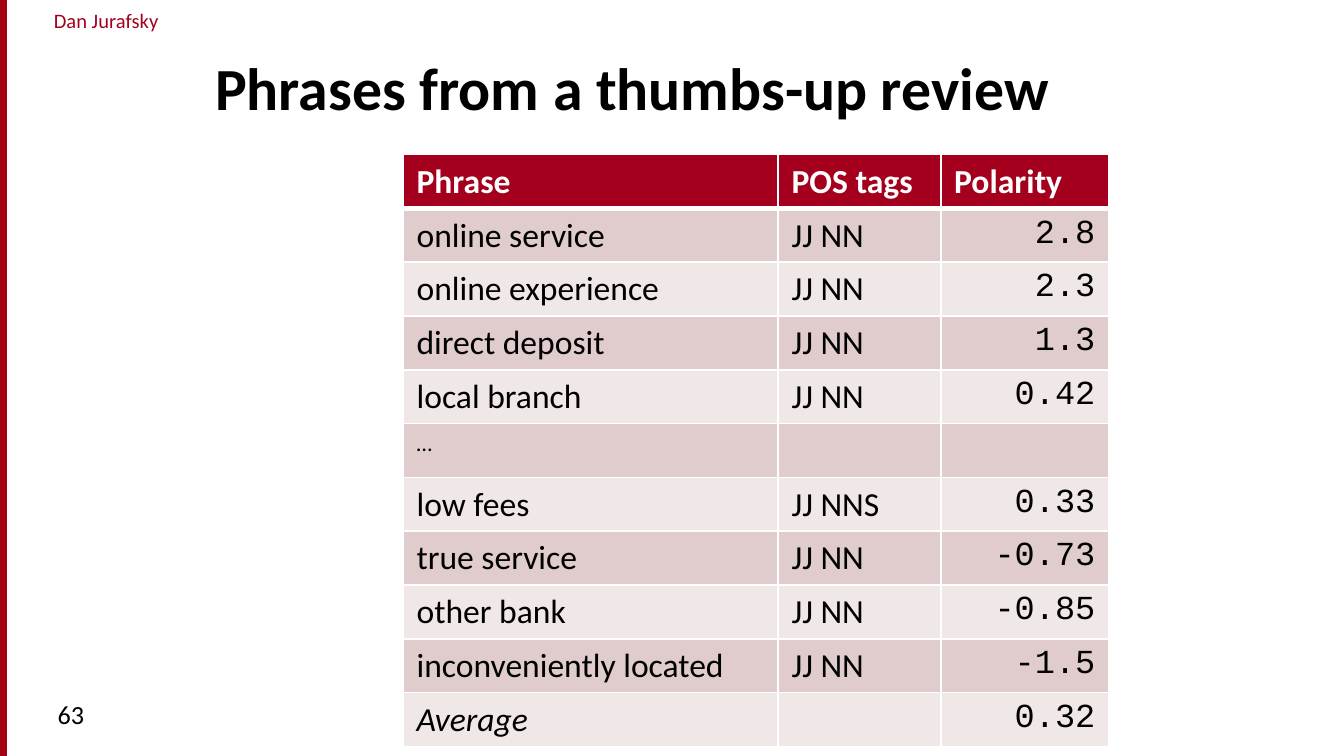
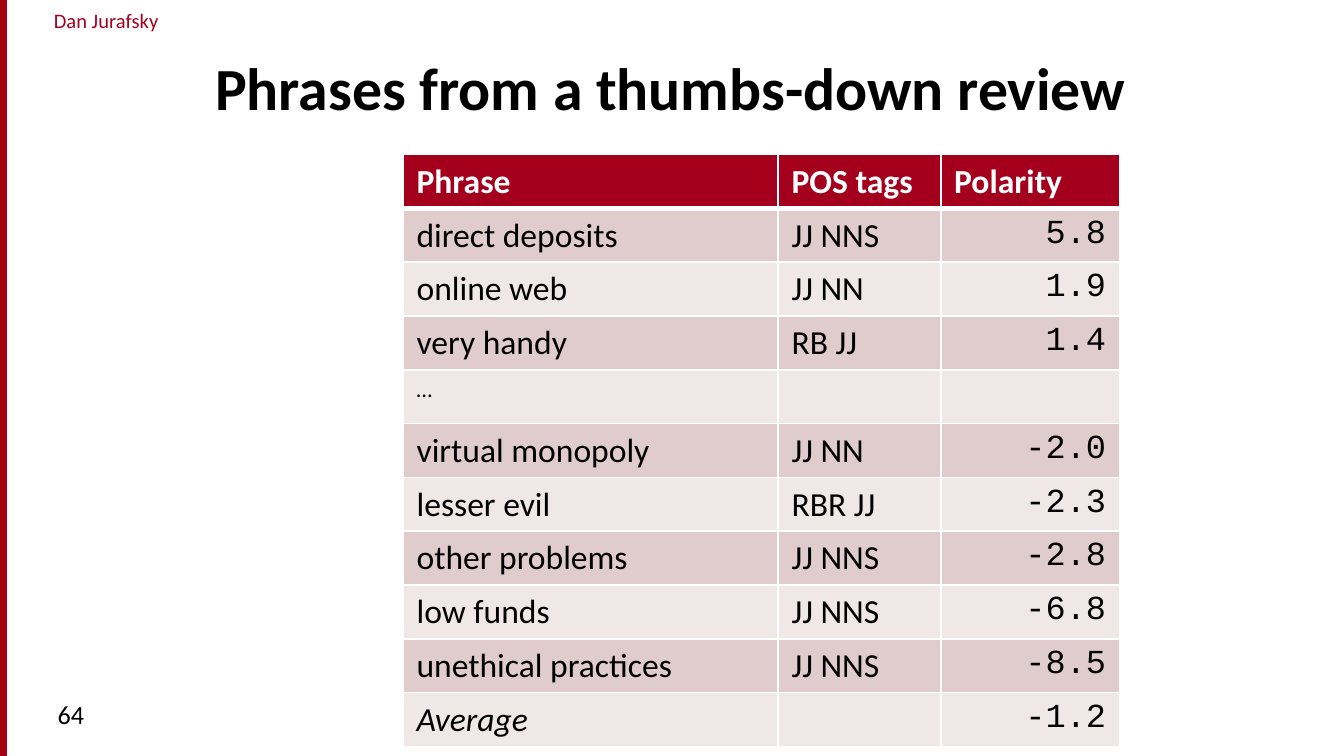
from dataclasses import dataclass

from lxml.etree import SubElement
from pptx import Presentation
from pptx.dml.color import RGBColor
from pptx.enum.shapes import MSO_SHAPE as Shape
from pptx.enum.text import MSO_ANCHOR as Anchor, PP_ALIGN as Align
from pptx.oxml.ns import qn
from pptx.util import Emu, Inches, Pt


@dataclass(frozen=True)
class Theme:
    text: str = "000000"
    paper: str = "FFFFFF"
    accent: str = "A4001D"
    stripe: str = "A40508"
    bands: tuple = ("E0CCCC", "F0E7E7")
    body_font: str = "Calibri"
    number_font: str = "Courier New"
    title_size: float = 32
    table_size: float = 18
    page_size: float = 14
    small_size: float = 12
    author_size: float = 11
    rule: float = 0.96
    header_rule: float = 3


class ReviewDeck:
    COLUMNS = 100
    AUTHOR = "Dan Jurafsky"
    HEADINGS = ("Phrase", "POS tags", "Polarity")
    ROW, SHORT_ROW = 3.9, 2.9

    def __init__(self, theme):
        self.theme = theme
        self.deck = Presentation()
        self.deck.slide_width = Inches(10)
        self.deck.slide_height = Inches(5.625)
        self.rows = self.COLUMNS * self.deck.slide_height / self.deck.slide_width
        self.slide = None

    def grid(self, *units):
        return [Emu(round(unit * self.deck.slide_width / self.COLUMNS)) for unit in units]

    def new_slide(self, title, number):
        self.slide = self.deck.slides.add_slide(self.deck.slide_layouts[5])
        fill = self.slide.background.fill
        fill.solid()
        fill.fore_color.rgb = RGBColor.from_string(self.theme.paper)
        self.text_box(self.AUTHOR, (0.8, 0.1, 14.2, 2.8), Align.CENTER, inset=0,
                      size=self.theme.author_size, color=self.theme.accent)
        self.stripe()
        self.title(title)
        self.text_box(number, (3.3, 51.5, 21.7, 3.7), Align.LEFT, size=self.theme.page_size)

    def put_text(self, frame, text, align=Align.LEFT, size=None, color=None, **formats):
        para = frame.paragraphs[0]
        para.alignment = align
        span = para.add_run()
        span.text = text
        values = {"name": self.theme.body_font, "bold": False, "italic": False,
                  "size": Pt(size or self.theme.table_size), **formats}
        for name, value in values.items():
            setattr(span.font, name, value)
        span.font.color.rgb = RGBColor.from_string(color or self.theme.text)

    def text_box(self, text, area, align, inset=1, **formats):
        frame = self.slide.shapes.add_textbox(*self.grid(*area)).text_frame
        frame.word_wrap = True
        frame.margin_left, frame.margin_right = self.grid(inset, inset)
        self.put_text(frame, text, align, **formats)

    def stripe(self):
        box = self.slide.shapes.add_shape(Shape.RECTANGLE, *self.grid(0, 0, 0.45, self.rows))
        box.shadow.inherit = False
        box.fill.solid()
        box.fill.fore_color.rgb = RGBColor.from_string(self.theme.stripe)
        box.line.color.rgb = RGBColor.from_string(self.theme.accent)
        box.line.width = Pt(0.75)

    def title(self, text):
        box = self.slide.shapes.title
        box.left, box.top, box.width, box.height = self.grid(15, 1.5, 81.7, 8.1)
        box.text_frame.vertical_anchor = Anchor.BOTTOM
        box.text_frame.word_wrap = True
        self.put_text(box.text_frame, text, size=self.theme.title_size, bold=True)

    def borders(self, cell, top, bottom):
        properties = cell._tc.get_or_add_tcPr()
        sides = {"a:lnL": self.theme.rule, "a:lnR": self.theme.rule,
                 "a:lnT": top, "a:lnB": bottom}
        for place, (tag, width) in enumerate(sides.items()):
            line = SubElement(properties, qn(tag), w=str(Pt(width)))
            fill = SubElement(line, qn("a:solidFill"))
            SubElement(fill, qn("a:srgbClr"), val=self.theme.paper)
            properties.insert(place, line)

    def cell_formats(self, row, column, text):
        if row == 0:
            return {"bold": True, "color": self.theme.paper}
        if column == 2:
            return {"align": Align.RIGHT, "name": self.theme.number_font}
        if text == "…":
            return {"size": self.theme.small_size}
        return {"italic": text == "Average"}

    def phrase_table(self, phrases, widths):
        records = [self.HEADINGS, *phrases]
        heights = [self.SHORT_ROW if record[0] == "…" else self.ROW for record in records]
        area = self.grid(30, 11.5, sum(widths), sum(heights))
        table = self.slide.shapes.add_table(len(records), len(widths), *area).table
        for column, width in zip(table.columns, self.grid(*widths)):
            column.width = width
        for row, height in zip(table.rows, self.grid(*heights)):
            row.height = height
        for row, record in enumerate(records):
            shade = self.theme.bands[(row - 1) % 2] if row else self.theme.accent
            top = self.theme.header_rule if row == 1 else self.theme.rule
            bottom = self.theme.header_rule if row == 0 else self.theme.rule
            for column, text in enumerate(record):
                cell = table.cell(row, column)
                cell.fill.solid()
                cell.fill.fore_color.rgb = RGBColor.from_string(shade)
                self.borders(cell, top, bottom)
                if text:
                    self.put_text(cell.text_frame, text, **self.cell_formats(row, column, text))


THUMBS_UP = [
    ("online service", "JJ NN", "2.8"),
    ("online experience", "JJ NN", "2.3"),
    ("direct deposit", "JJ NN", "1.3"),
    ("local branch", "JJ NN", "0.42"),
    ("…", "", ""),
    ("low fees", "JJ NNS", "0.33"),
    ("true service", "JJ NN", "-0.73"),
    ("other bank", "JJ NN", "-0.85"),
    ("inconveniently located", "JJ NN", "-1.5"),
    ("Average", "", "0.32"),
]
THUMBS_DOWN = [
    ("direct deposits", "JJ NNS", "5.8"),
    ("online web", "JJ NN", "1.9"),
    ("very handy", "RB JJ", "1.4"),
    ("…", "", ""),
    ("virtual monopoly", "JJ NN", "-2.0"),
    ("lesser evil", "RBR JJ", "-2.3"),
    ("other problems", "JJ NNS", "-2.8"),
    ("low funds", "JJ NNS", "-6.8"),
    ("unethical practices", "JJ NNS", "-8.5"),
    ("Average", "", "-1.2"),
]


def main():
    review = ReviewDeck(Theme())
    review.new_slide("Phrases from a thumbs-up review", "63")
    review.phrase_table(THUMBS_UP, (27.9, 12.1, 12.5))
    review.new_slide("Phrases from a thumbs-down review", "64")
    review.phrase_table(THUMBS_DOWN, (27.9, 12.1, 13.3))
    review.deck.save("out.pptx")


if __name__ == "__main__":
    main()
